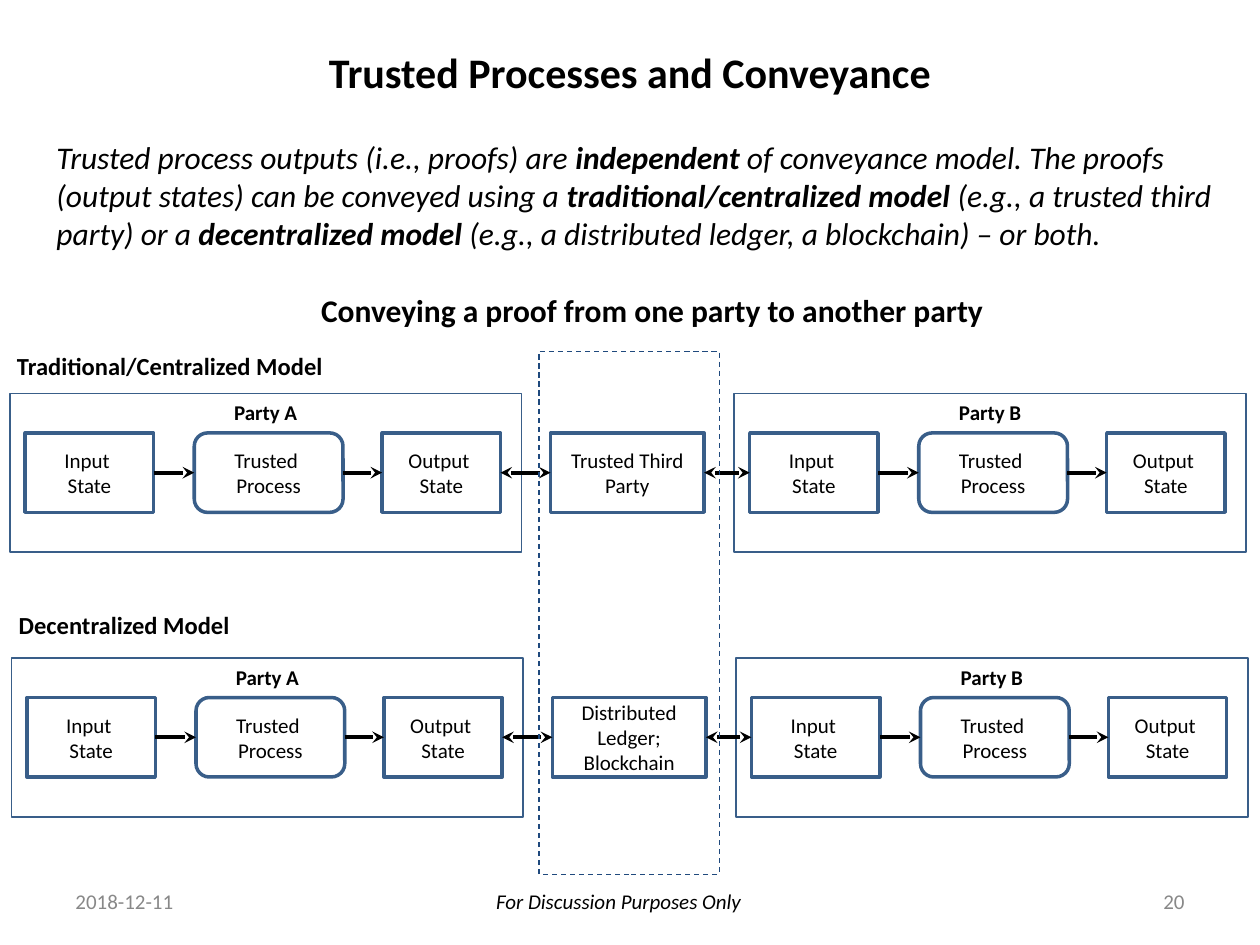
from lxml.etree import SubElement
from pptx import Presentation
from pptx.dml.color import RGBColor as Color
from pptx.enum.dml import MSO_LINE as Dash
from pptx.enum.shapes import MSO_CONNECTOR as Link, MSO_SHAPE as Kind
from pptx.enum.text import MSO_ANCHOR as Anchor, PP_ALIGN as Align
from pptx.oxml.ns import qn
from pptx.util import Pt

BLACK = Color(0x00, 0x00, 0x00)
WHITE = Color(0xFF, 0xFF, 0xFF)
GRAY = Color(0x88, 0x88, 0x88)
BLUE = Color(0x39, 0x5E, 0x89)
NAVY = Color(0x1F, 0x49, 0x7D)

ROWS = [
    (0, 0, "Trusted Third Party"),
    (1, 151.2, "Distributed Ledger; Blockchain"),
]
PARTIES = [(0, "Party A"), (414, "Party B")]
STEPS = [
    (14.4, 73.4, Kind.RECTANGLE, "Input \vState"),
    (111, 85, Kind.ROUNDED_RECTANGLE, "Trusted \vProcess"),
    (218.4, 67.6, Kind.RECTANGLE, "Output \vState"),
]
PROOF = [
    ("Trusted process outputs (i.e., proofs) are ", False),
    ("independent", True),
    (" of conveyance model. The proofs (output states) can be conveyed using a ", False),
    ("traditional/centralized model ", True),
    ("(e.g., a trusted third party) or a ", False),
    ("decentralized model ", True),
    ("(e.g., a distributed ledger, a blockchain) – or both.", False),
]


def style(para, size, color=BLACK, bold=False, italic=False, align=Align.LEFT):
    para.alignment = align
    font = para.font
    font.name = "Calibri"
    font.size = Pt(size)
    font.bold = bold
    font.italic = italic
    font.color.rgb = color


def add_text(slide, box, text, size, anchor=Anchor.TOP, **look):
    frame = slide.shapes.add_textbox(*map(Pt, box)).text_frame
    frame.word_wrap = True
    frame.vertical_anchor = anchor
    para = frame.paragraphs[0]
    if isinstance(text, str):
        para.text = text
    else:
        for part, bold in text:
            run = para.add_run()
            run.text = part
            run.font.bold = bold
    style(para, size, **look)


def add_box(slide, kind, box, width, color=BLUE, fill=None):
    shape = slide.shapes.add_shape(kind, *map(Pt, box))
    shape.shadow.inherit = False
    if fill is None:
        shape.fill.background()
    else:
        shape.fill.solid()
        shape.fill.fore_color.rgb = fill
    shape.line.color.rgb = color
    shape.line.width = Pt(width)
    return shape


def label(shape, text, anchor, bold=False):
    frame = shape.text_frame
    frame.word_wrap = True
    frame.vertical_anchor = anchor
    para = frame.paragraphs[0]
    para.text = text
    style(para, 12, bold=bold, align=Align.CENTER)


def add_step(slide, kind, left, top, width, text):
    shape = add_box(slide, kind, (left, top, width, 45.4), 2, fill=WHITE)
    label(shape, text, Anchor.MIDDLE)
    return shape


def join(slide, start, end, ends=("tailEnd",)):
    line = slide.shapes.add_connector(Link.STRAIGHT, 0, 0, 0, 0)
    line.begin_connect(start, 3)
    line.end_connect(end, 1)
    line.line.color.rgb = BLACK
    line.line.width = Pt(2.25)
    props = line._element.spPr
    for end_name in ends:
        SubElement(props.find(qn("a:ln")), qn("a:" + end_name), type="stealth")
    SubElement(props, qn("a:effectLst"))


def add_party(slide, left, top, name):
    frame = add_box(slide, Kind.RECTANGLE, (left + 5.6, top + 224.8, 292.4, 90.8), 1)
    label(frame, name, Anchor.TOP, bold=True)
    steps = [
        add_step(slide, kind, left + x, top + 247.4, width, text)
        for x, width, kind, text in STEPS
    ]
    for start, end in zip(steps, steps[1:]):
        join(slide, start, end)
    return steps


def add_row(slide, left, top, text):
    first, second = [add_party(slide, left + x, top, name) for x, name in PARTIES]
    middle = add_step(slide, Kind.RECTANGLE, left + 314.6, top + 247.4, 87.8, text)
    both = ("headEnd", "tailEnd")
    join(slide, first[-1], middle, both)
    join(slide, middle, second[0], both)


def main():
    deck = Presentation()
    deck.slide_width, deck.slide_height = Pt(720), Pt(540)
    slide = deck.slides.add_slide(deck.slide_layouts[6])

    add_text(slide, (36, 21.6, 648, 39), "Trusted Processes and Conveyance", 24,
             Anchor.MIDDLE, bold=True, align=Align.CENTER)
    add_text(slide, (25.2, 75.6, 674.6, 67), PROOF, 18, italic=True)
    add_text(slide, (176.4, 162.9, 396, 29),
             "Conveying a proof from one party to another party", 18, bold=True)
    add_text(slide, (2.6, 196.8, 191, 24), "Traditional/Centralized Model", 14, bold=True)
    add_text(slide, (3.6, 345, 136, 24), "Decentralized Model", 14, bold=True)

    for row in ROWS:
        add_row(slide, *row)
    zone = add_box(slide, Kind.RECTANGLE, (308, 200.8, 103, 298.8), 0.75, NAVY)
    zone.line.dash_style = Dash.DASH

    add_text(slide, (36, 500.4, 168, 28.8), "2018-12-11", 12, Anchor.MIDDLE, color=GRAY)
    add_text(slide, (226.8, 500.4, 253.4, 28.8), "For Discussion Purposes Only", 12,
             Anchor.MIDDLE, italic=True, align=Align.CENTER)
    add_text(slide, (516, 500.4, 168, 28.8), "20", 12, Anchor.MIDDLE,
             color=GRAY, align=Align.RIGHT)
    deck.save("out.pptx")


if __name__ == "__main__":
    main()
